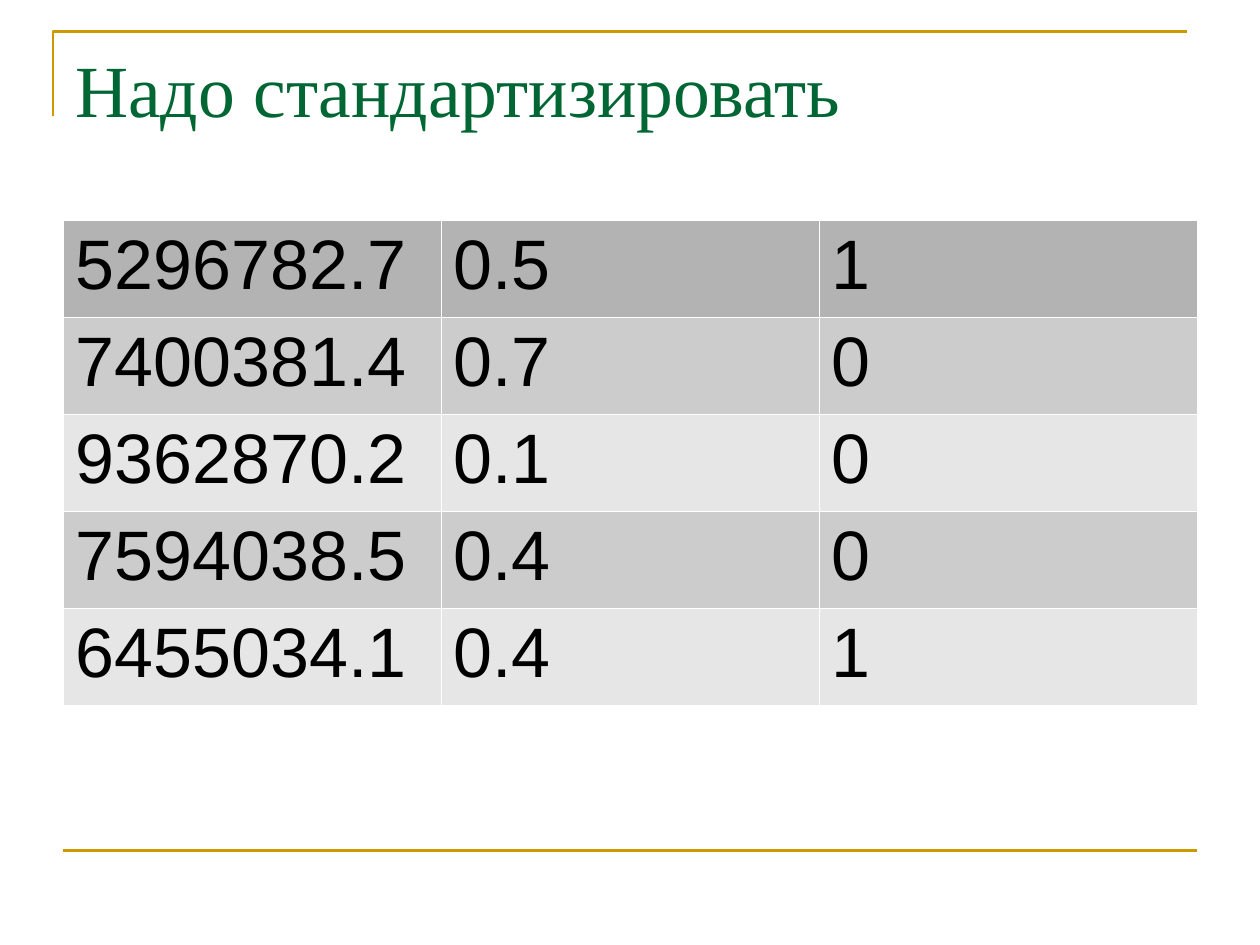
from lxml.etree import SubElement
from pptx import Presentation
from pptx.dml.color import RGBColor
from pptx.enum.shapes import MSO_CONNECTOR as Connector
from pptx.enum.text import MSO_ANCHOR as Anchor
from pptx.oxml.ns import qn
from pptx.util import Inches, Pt

COLORS = {
    "accent": "CC9900",
    "title": "006633",
    "text": "000000",
    "border": "FFFFFF",
    "header": "B3B3B3",
    "odd": "CCCCCC",
    "even": "E6E6E6",
}
VALUES = [
    ("5296782.7", "0.5", "1"),
    ("7400381.4", "0.7", "0"),
    ("9362870.2", "0.1", "0"),
    ("7594038.5", "0.4", "0"),
    ("6455034.1", "0.4", "1"),
]


def color(name):
    return RGBColor.from_string(COLORS[name])


class SlideBuilder:
    unit = Inches(0.25)
    title_font = "Times New Roman"
    body_font = "Arial"
    rule_width = Pt(1.5)
    border_width = Pt(0.06)

    def __init__(self, slide):
        self.slide = slide

    def grid(self, *lengths):
        return [round(length * self.unit) for length in lengths]

    def style_line(self, shape):
        shape.line.color.rgb = color("accent")
        shape.line.width = self.rule_width

    def style_text(self, paragraph, font_name, size, color_name):
        for run in paragraph.runs:
            run.font.name = font_name
            run.font.size = Pt(size)
            run.font.color.rgb = color(color_name)

    def corner(self, left, top, width, height):
        left, top, width, height = self.grid(left, top, width, height)
        builder = self.slide.shapes.build_freeform(left, top + height)
        builder.add_line_segments([(left, top), (left + width, top)], close=False)
        shape = builder.convert_to_shape()
        shape.shadow.inherit = False
        shape.fill.background()
        self.style_line(shape)

    def rule(self, left, top, width):
        left, top, width = self.grid(left, top, width)
        connector = self.slide.shapes.add_connector(
            Connector.STRAIGHT, left, top, left + width, top)
        self.style_line(connector)
        SubElement(connector.element.spPr, qn("a:effectLst"))

    def title(self, text, left, top, width, height):
        shape = self.slide.shapes.add_textbox(*self.grid(left, top, width, height))
        frame = shape.text_frame
        frame.word_wrap = True
        frame.vertical_anchor = Anchor.TOP
        frame.text = text
        self.style_text(frame.paragraphs[0], self.title_font, 42, "title")

    def borders(self, cell):
        properties = cell._tc.get_or_add_tcPr()
        for side in ("lnL", "lnR", "lnT", "lnB"):
            line = SubElement(properties, qn(f"a:{side}"), w=str(self.border_width))
            fill = SubElement(line, qn("a:solidFill"))
            SubElement(fill, qn("a:srgbClr"), val=COLORS["border"])

    def table(self, values, left, top, width, height):
        table = self.slide.shapes.add_table(
            len(values), len(values[0]), *self.grid(left, top, width, height)).table
        table.first_row = table.horz_banding = False
        for row, texts in enumerate(values):
            band = "header" if row == 0 else "odd" if row % 2 else "even"
            for column, text in enumerate(texts):
                cell = table.cell(row, column)
                cell.text = text
                self.borders(cell)
                cell.fill.solid()
                cell.fill.fore_color.rgb = color(band)
                self.style_text(cell.text_frame.paragraphs[0], self.body_font, 40, "text")


def main():
    presentation = Presentation()
    presentation.slide_width = Inches(10)
    presentation.slide_height = Inches(7.5)
    builder = SlideBuilder(presentation.slides.add_slide(presentation.slide_layouts[6]))
    builder.corner(1.68, 1, 36, 2.68)
    builder.rule(2, 27, 36)
    builder.title("Надо стандартизировать", 2, 1.2, 36, 5)
    builder.table(VALUES, 2, 7, 36, 15.4)
    presentation.save("out.pptx")


if __name__ == "__main__":
    main()
